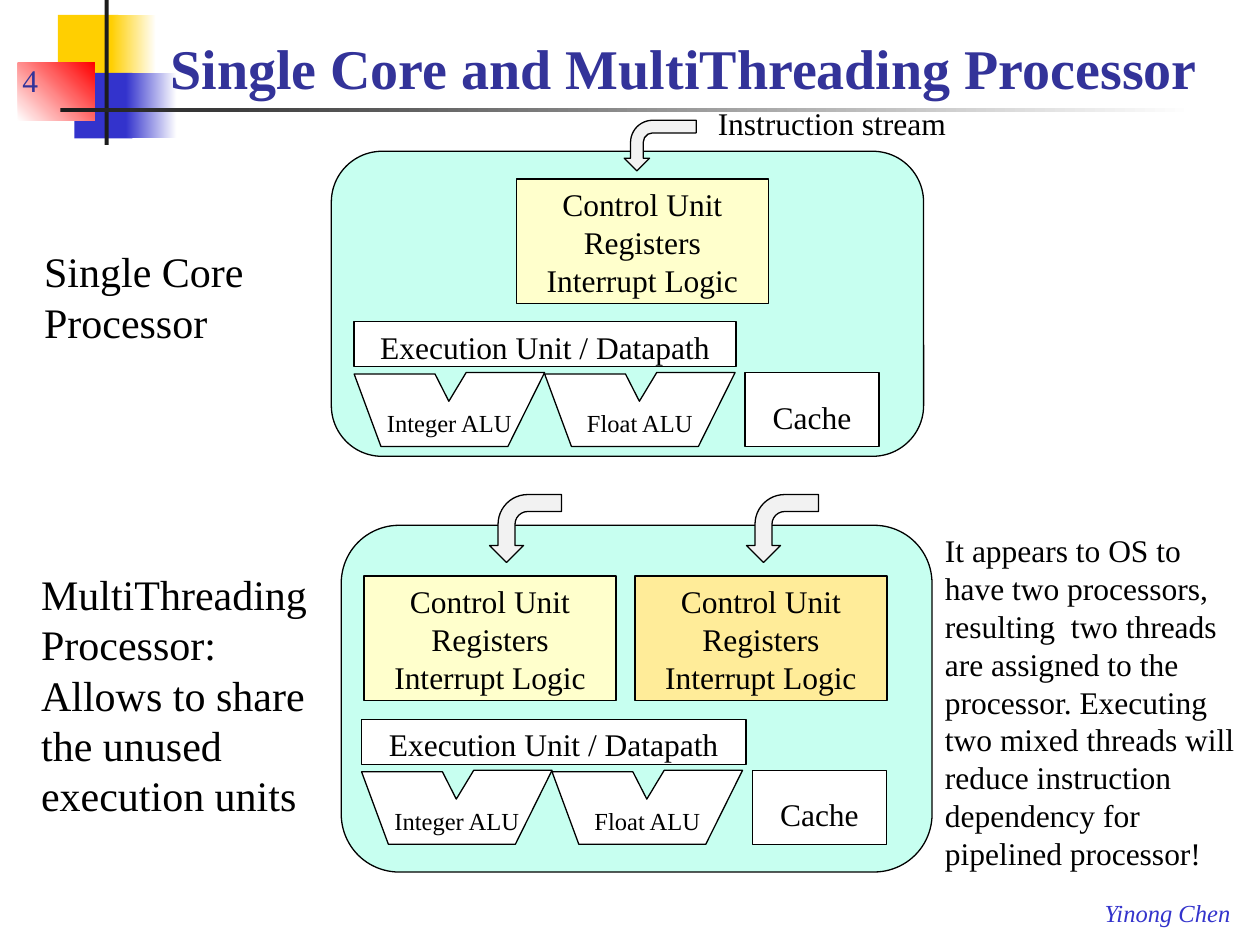
from pptx import Presentation
from pptx.dml.color import RGBColor
from pptx.enum.shapes import MSO_SHAPE as Shape
from pptx.enum.text import MSO_ANCHOR as Anchor, MSO_AUTO_SIZE as AutoSize, PP_ALIGN as Align
from pptx.util import Cm, Pt

FONT = "Times New Roman"
BLACK, WHITE, CHARCOAL = "000000", "FFFFFF", "1C1C1C"
NAVY, BLUE, GOLD, RED = "333399", "3333CC", "FFCF01", "FF0000"
MINT, CREAM, AMBER, GREY = "C7FFF0", "FFFFCC", "FFEC99", "F2F2F2"

CONTROL_TEXT = "Control Unit\nRegisters\nInterrupt Logic"
ALU_WIDTH = 3.84
ALU_OUTLINE = [(0, 0.03), (1.63, 0.03), (1.91, 0.58), (2.26, 0),
               (ALU_WIDTH, 0), (3.1, 1.49), (0.54, 1.49)]


def color(value):
    return RGBColor.from_string(value)


def write_text(shape, text, size, text_color=BLACK, align=Align.LEFT, anchor=Anchor.TOP,
               spacing=None, bold=False, italic=False):
    frame = shape.text_frame
    frame.text = text
    frame.vertical_anchor = anchor
    for paragraph in frame.paragraphs:
        paragraph.alignment = align
        paragraph.line_spacing = spacing
        for run in paragraph.runs:
            font = run.font
            font.name, font.size = FONT, Pt(size)
            font.bold, font.italic = bold, italic
            font.color.rgb = color(text_color)


def style_outlined(shape, fill):
    shape.shadow.inherit = False
    shape.fill.solid()
    shape.fill.fore_color.rgb = color(fill)
    shape.line.color.rgb = color(BLACK)
    shape.line.width = Pt(0.75)


def add_outlined(slide, kind, left, top, width, height, fill):
    shape = slide.shapes.add_shape(kind, Cm(left), Cm(top), Cm(width), Cm(height))
    style_outlined(shape, fill)
    return shape


def add_labelled_box(slide, left, top, width, height, text, fill=WHITE, spacing=None):
    box = add_outlined(slide, Shape.RECTANGLE, left, top, width, height, fill)
    write_text(box, text, 18, align=Align.CENTER, spacing=spacing)


def add_text(slide, left, top, width, height, text, size, wrap=True, **style):
    box = slide.shapes.add_textbox(Cm(left), Cm(top), Cm(width), Cm(height))
    box.text_frame.word_wrap = wrap
    write_text(box, text, size, **style)


def add_decoration(slide, left, top, width, height, start, end=None, angle=0):
    """Add a borderless block, fading from start to end when end is given."""
    block = slide.shapes.add_shape(Shape.RECTANGLE, Cm(left), Cm(top), Cm(width), Cm(height))
    block.shadow.inherit = False
    block.line.fill.background()
    if end is None:
        block.fill.solid()
        block.fill.fore_color.rgb = color(start)
        return
    block.fill.gradient()
    block.fill.gradient_angle = angle
    for stop, value in zip(block.fill.gradient_stops, (start, end)):
        stop.color.rgb = color(value)


def add_alu(slide, left, top, text):
    points = [(Cm(left + x), Cm(top + y)) for x, y in ALU_OUTLINE]
    builder = slide.shapes.build_freeform(*points[0])
    builder.add_line_segments(points[1:], close=True)
    alu = builder.convert_to_shape()
    style_outlined(alu, WHITE)
    write_text(alu, text, 14, align=Align.CENTER, spacing=2.0)


def add_stream_arrow(slide, left, top, width, height):
    """Add an arrow that enters from the right and turns down."""
    arrow = add_outlined(slide, Shape.BENT_ARROW, left, top, width, height, GREY)
    arrow.rotation = 90
    arrow.element.spPr.get_or_add_xfrm().set("flipV", "1")


def add_execution_units(slide, left, top, width):
    unit_top = top + 1.03
    add_labelled_box(slide, left, top, width, 0.91, "Execution Unit / Datapath")
    for index, name in enumerate(("Integer ALU", "Float ALU")):
        add_alu(slide, left + index * ALU_WIDTH, unit_top, name)
    add_labelled_box(slide, left + 7.88, unit_top, 2.7, 1.49, "Cache", spacing=1.5)


def add_control_unit(slide, left, top, fill):
    add_labelled_box(slide, left, top, 5.08, 2.51, CONTROL_TEXT, fill)


def add_theme_blocks(slide):
    add_decoration(slide, 1.17, 0.3, 1.22, 1.32, GOLD)
    add_decoration(slide, 2.24, 0.3, 0.91, 1.32, GOLD, WHITE)
    add_decoration(slide, 1.5, 1.47, 1.17, 1.32, BLUE)
    add_decoration(slide, 2.54, 1.47, 1.02, 1.32, BLUE, WHITE)
    add_decoration(slide, 0.36, 1.27, 1.55, 1.17, WHITE, RED, angle=45)
    add_decoration(slide, 2.11, 0, 0.08, 2.92, CHARCOAL)
    add_decoration(slide, 1.22, 2.18, 22.86, 0.08, CHARCOAL, WHITE)


def place_title(slide, text):
    title = slide.shapes.title
    title.left, title.top, title.width, title.height = Cm(3.18), Cm(0.43), Cm(22.02), Cm(1.73)
    title.text_frame.auto_size = AutoSize.NONE
    write_text(title, text, 32, NAVY, anchor=Anchor.BOTTOM, bold=True)
    title.element.getparent().append(title.element)  # bring in front of the blocks


def add_single_core(slide):
    add_outlined(slide, Shape.ROUNDED_RECTANGLE, 6.68, 3.05, 11.94, 6.15, MINT)
    add_control_unit(slide, 10.41, 3.61, CREAM)
    add_execution_units(slide, 7.14, 6.48, 7.7)
    add_stream_arrow(slide, 12.8, 2.21, 1.02, 1.45)
    add_text(slide, 14.22, 1.98, 5.16, 1.02, "Instruction stream", 18, wrap=False)
    add_text(slide, 0.64, 4.83, 5.28, 2.31, "Single Core Processor", 24)


def add_multithreading(slide):
    add_outlined(slide, Shape.ROUNDED_RECTANGLE, 6.88, 10.59, 11.91, 6.99, MINT)
    for left, arrow_left, fill in ((7.34, 9.91, CREAM), (12.8, 15.09, AMBER)):
        add_control_unit(slide, left, 11.61, fill)
        add_stream_arrow(slide, arrow_left, 9.93, 1.37, 1.45)
    add_execution_units(slide, 7.29, 14.5, 7.75)
    add_text(slide, 0.58, 11.33, 6.99, 5.38,
             "MultiThreading Processor: \vAllows to share the unused execution units", 24)
    add_text(slide, 18.8, 10.59, 6.4, 7.19,
             "It appears to OS to have two processors, resulting  two threads are assigned "
             "to the processor. Executing two mixed threads will reduce instruction "
             "dependency for pipelined processor!", 18)


def main():
    presentation = Presentation()
    presentation.slide_width, presentation.slide_height = Cm(25.4), Cm(19.05)
    slide = presentation.slides.add_slide(presentation.slide_layouts[5])
    add_theme_blocks(slide)
    place_title(slide, "Single Core and MultiThreading Processor")
    add_text(slide, 0.2, 0.84, 1.7, 1.27, "4", 18, text_color=NAVY, anchor=Anchor.BOTTOM)
    add_single_core(slide)
    add_multithreading(slide)
    add_text(slide, 22.02, 17.98, 3.05, 0.86, "Yinong Chen", 14, wrap=False,
             text_color=BLUE, italic=True)
    presentation.save("out.pptx")


if __name__ == "__main__":
    main()
